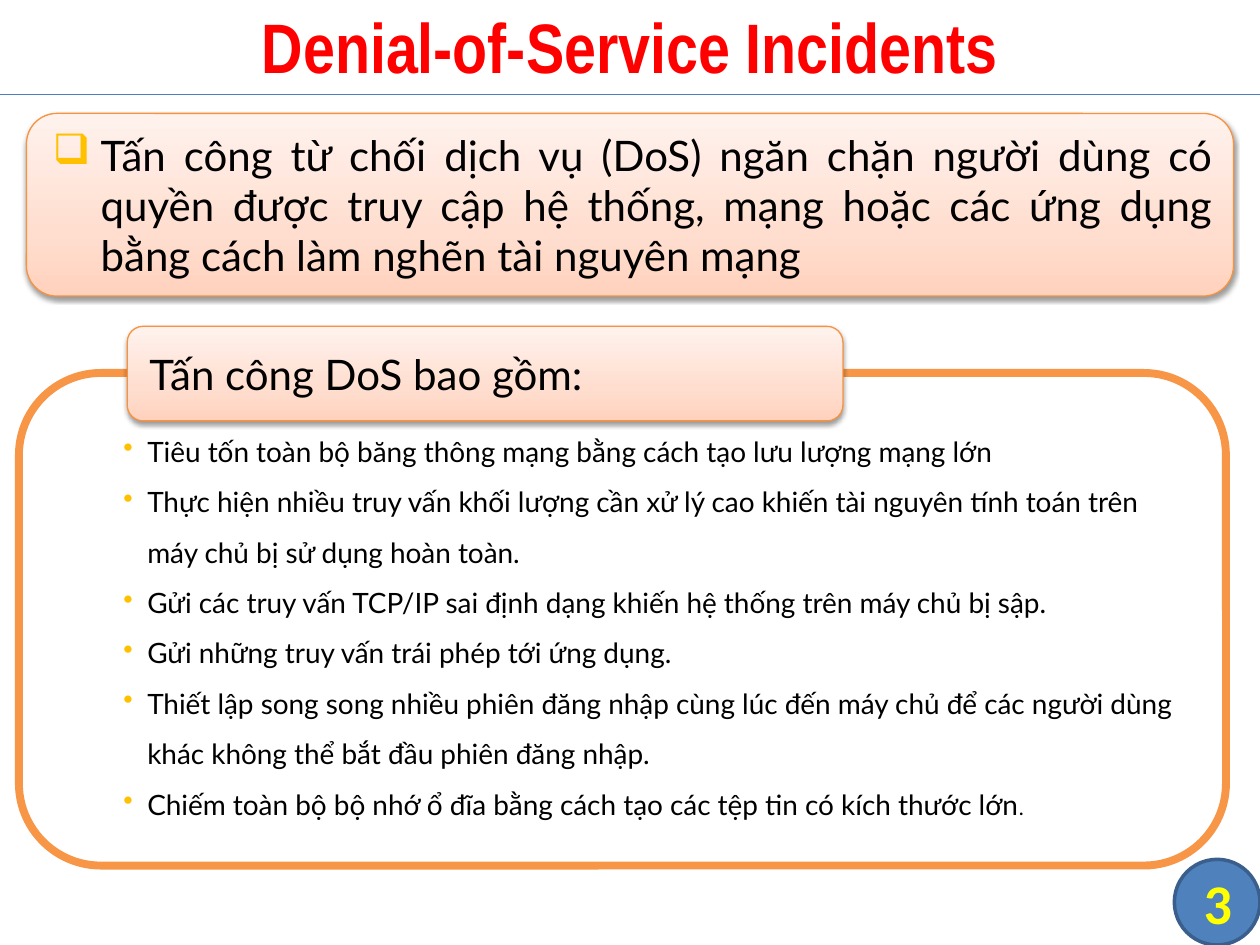
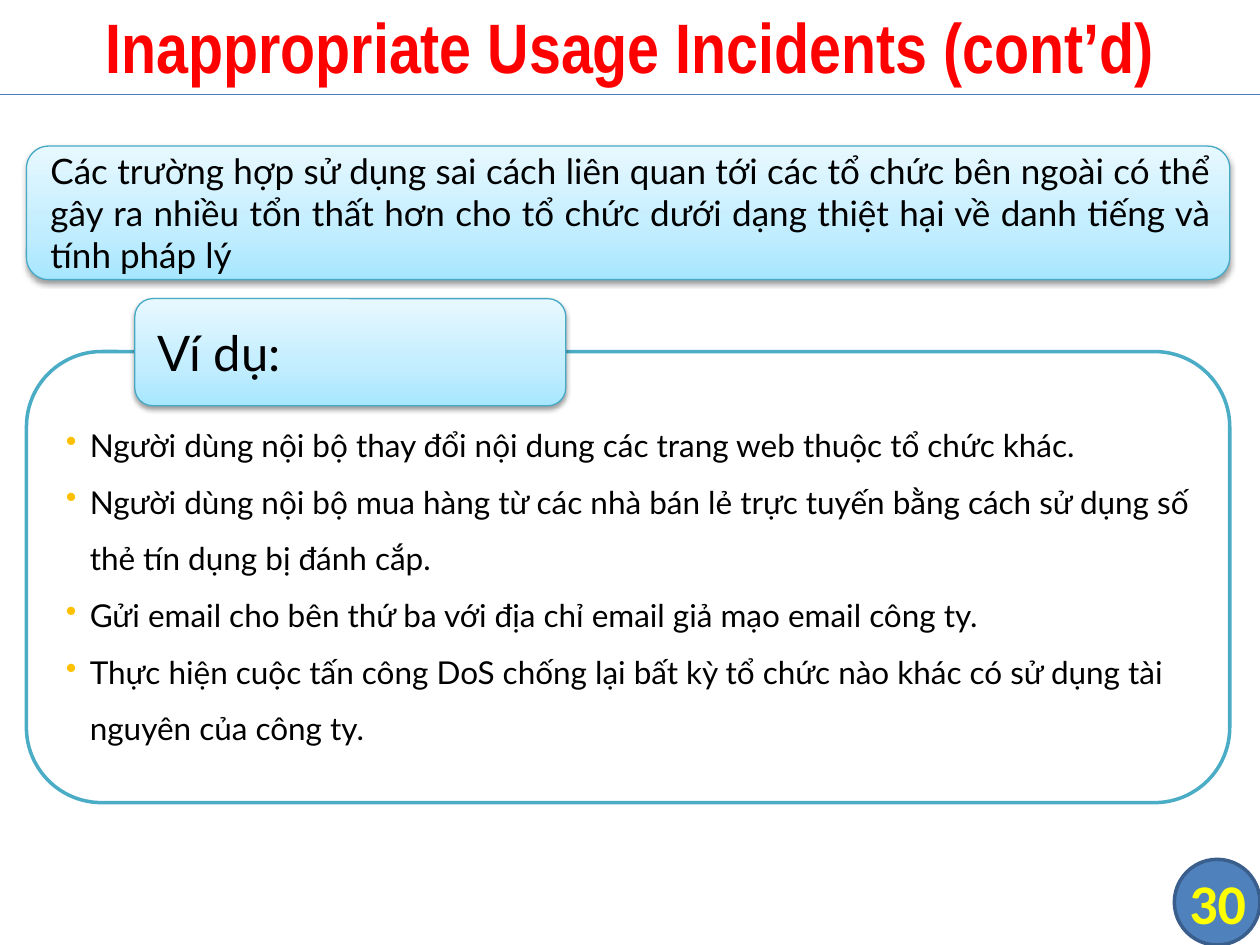
from lxml import etree
from pptx import Presentation
from pptx import util as u
from pptx.dml import color as dml
from pptx.enum import shapes, text
from pptx.oxml import ns

RED, YELLOW, BLACK, WHITE, AMBER = "FF0000", "FFFF00", "000000", "FFFFFF", "FFC000"
BADGE_FILL, BADGE_LINE, RULE = "4F81BD", "3A5F8C", "4B7EBC"
ORANGE = {"frame": "F79646", "edge": "F69240",
          "stops": [(0, "FFD2BD"), (35, "FFDED0"), (100, "FFF2ED")]}
TEAL = {"frame": "4BACC6", "edge": "46AAC5",
        "stops": [(0, "A7E6FF"), (35, "C1EDFF"), (100, "E7F8FF")]}
LEFT, CENTER, JUSTIFY = text.PP_ALIGN.LEFT, text.PP_ALIGN.CENTER, text.PP_ALIGN.JUSTIFY

slides = [
    {
        "title": "Denial-of-Service Incidents", "number": "3", "theme": ORANGE,
        "frame": (0.15, 2.96, 9.58, 3.91), "frame_width": 4.5,
        "item_size": 16, "item_margin": 0.73,
        "items": [
            [("Tiêu tốn toàn bộ băng thông mạng bằng cách tạo lưu lượng mạng lớn", 16)],
            [("Thực hiện nhiều truy vấn khối lượng cần xử lý cao khiến tài nguyên tính toán "
              "trên máy chủ bị sử dụng hoàn toàn.", 16)],
            [("Gửi các truy vấn TCP/IP sai định dạng khiến hệ thống trên máy chủ bị sập.", 16)],
            [("Gửi những truy vấn trái phép tới ứng dụng.", 16)],
            [("Thiết lập song song nhiều phiên đăng nhập cùng lúc đến máy chủ để các người dùng "
              "khác không thể bắt đầu phiên đăng nhập.", 16)],
            [("Chiếm toàn bộ bộ nhớ ổ đĩa bằng cách tạo các tệp tin có kích thước lớn", 16),
             (".", 12)],
        ],
        "heading": ((1.01, 2.59, 5.68, 0.75), "Tấn công DoS bao gồm:", 24),
        "intro": ((0.21, 0.9, 9.58, 1.45),
                  "Tấn công từ chối dịch vụ (DoS) ngăn chặn người dùng có quyền được truy cập "
                  "hệ thống, mạng hoặc các ứng dụng bằng cách làm nghẽn tài nguyên mạng", 24),
        "intro_indent": {"margin": 0.42, "hanging": 0.38, "bullet": "❑"},
    },
    {
        "title": "Inappropriate Usage Incidents (cont’d)", "number": "30", "theme": TEAL,
        "frame": (0.21, 2.79, 9.55, 3.58), "frame_width": 2,
        "item_margin": 0.23,
        "items": [
            [("Người dùng nội bộ thay đổi nội dung các trang web thuộc tổ chức khác.", 18)],
            [("Người dùng nội bộ mua hàng từ các nhà bán lẻ trực tuyến bằng cách sử dụng số "
              "thẻ tín dụng bị đánh cắp.", 18)],
            [("Gửi email cho bên thứ ba với địa chỉ email giả mạo email công ty.", 18)],
            [("Thực hiện cuộc tấn công DoS chống lại bất kỳ tổ chức nào khác có sử dụng "
              "tài nguyên của công ty.", 18)],
        ],
        "heading": ((1.07, 2.37, 3.42, 0.85), "Ví dụ:", 28),
        "intro": ((0.21, 1.16, 9.55, 1.06),
                  "Các trường hợp sử dụng sai cách liên quan tới các tổ chức bên ngoài có thể "
                  "gây ra nhiều tổn thất hơn cho tổ chức dưới dạng thiệt hại về danh tiếng và "
                  "tính pháp lý", 20),
        "intro_indent": {"margin": 0.04},
    },
]


def rgb(value):
    return dml.RGBColor.from_string(value)


def write(shape, paragraphs, font="Lato", color=BLACK, bold=False, align=LEFT,
          margin=0, hanging=0, bullet=None, spacing=None):
    """Fill a shape with paragraphs, each a list of (text, size) runs."""
    frame = shape.text_frame
    frame.word_wrap = True
    frame.vertical_anchor = text.MSO_ANCHOR.MIDDLE
    for index, runs in enumerate(paragraphs):
        paragraph = frame.add_paragraph() if index else frame.paragraphs[0]
        properties = paragraph._p.get_or_add_pPr()
        properties.set("marL", str(u.Inches(margin)))
        properties.set("indent", str(u.Inches(-hanging)))
        if bullet:
            bullet_color = etree.SubElement(properties, ns.qn("a:buClr"))
            etree.SubElement(bullet_color, ns.qn("a:srgbClr"), val=AMBER)
            etree.SubElement(properties, ns.qn("a:buChar"), char=bullet)
        paragraph.alignment = align
        if spacing:
            paragraph.line_spacing = spacing
        for words, size in runs:
            run = paragraph.add_run()
            run.text = words
            run.font.name, run.font.size, run.font.bold = font, u.Pt(size), bold
            run.font.color.rgb = rgb(color)


presentation = Presentation()
presentation.slide_width, presentation.slide_height = u.Inches(10), u.Inches(7.5)

for content in slides:
    slide = presentation.slides.add_slide(presentation.slide_layouts[6])
    theme = content["theme"]

    # Page badge, rule and title
    badge = slide.shapes.add_shape(shapes.MSO_SHAPE.FLOWCHART_CONNECTOR,
                                   *map(u.Inches, (9.32, 6.82, 0.68, 0.68)))
    badge.shadow.inherit = False
    badge.fill.solid()
    badge.fill.fore_color.rgb = rgb(BADGE_FILL)
    badge.line.color.rgb = rgb(BADGE_LINE)
    badge.line.width = u.Pt(2)

    rule = slide.shapes.add_connector(shapes.MSO_CONNECTOR.STRAIGHT,
                                      *map(u.Inches, (0, 0.75, 10, 0.75)))
    rule.line.color.rgb = rgb(RULE)
    rule.line.width = u.Pt(0.75)
    etree.SubElement(rule._element.spPr, ns.qn("a:effectLst"))

    title = slide.shapes.add_textbox(*map(u.Inches, (0, -0.03, 10, 0.78)))
    write(title, [[(content["title"], 40)]], "Arial Narrow", RED, True, CENTER)

    number = slide.shapes.add_textbox(*map(u.Inches, (9.33, 6.82, 0.67, 0.68)))
    frame = number.text_frame
    frame.margin_left = frame.margin_right = frame.margin_top = frame.margin_bottom = 0
    write(number, [[(content["number"], 32)]], "Calibri", YELLOW, True, CENTER)

    # Outlined list
    listing = slide.shapes.add_shape(shapes.MSO_SHAPE.ROUNDED_RECTANGLE,
                                     *map(u.Inches, content["frame"]))
    listing.shadow.inherit = False
    listing.fill.solid()
    listing.fill.fore_color.rgb = rgb(WHITE)
    listing.line.color.rgb = rgb(theme["frame"])
    listing.line.width = u.Pt(content["frame_width"])
    write(listing, content["items"], margin=content["item_margin"], hanging=0.19,
          bullet="•", spacing=1.5)

    # Shaded heading and introduction
    for part, align, indent in (("heading", LEFT, {"margin": 0.04}),
                                ("intro", JUSTIFY, content["intro_indent"])):
        box, words, size = content[part]
        panel = slide.shapes.add_shape(shapes.MSO_SHAPE.ROUNDED_RECTANGLE,
                                       *map(u.Inches, box))
        panel.line.color.rgb = rgb(theme["edge"])
        panel.line.width = u.Pt(0.75)
        panel.fill.gradient()
        panel.fill.gradient_angle = 90
        properties = panel._element.spPr
        stops = properties.find(ns.qn("a:gradFill")).find(ns.qn("a:gsLst"))
        for stop in list(stops):
            stops.remove(stop)
        for position, value in theme["stops"]:
            stop = etree.SubElement(stops, ns.qn("a:gs"), pos=str(position * 1000))
            etree.SubElement(stop, ns.qn("a:srgbClr"), val=value)
        panel.shadow.inherit = False
        shadow = etree.SubElement(properties.find(ns.qn("a:effectLst")), ns.qn("a:outerShdw"),
                                  blurRad=str(u.Pt(3.1)), dist=str(u.Pt(1.6)),
                                  dir=str(90 * 60000), rotWithShape="0")
        shade = etree.SubElement(shadow, ns.qn("a:srgbClr"), val=BLACK)
        etree.SubElement(shade, ns.qn("a:alpha"), val="38000")
        write(panel, [[(words, size)]], align=align, **indent)

presentation.save("out.pptx")
